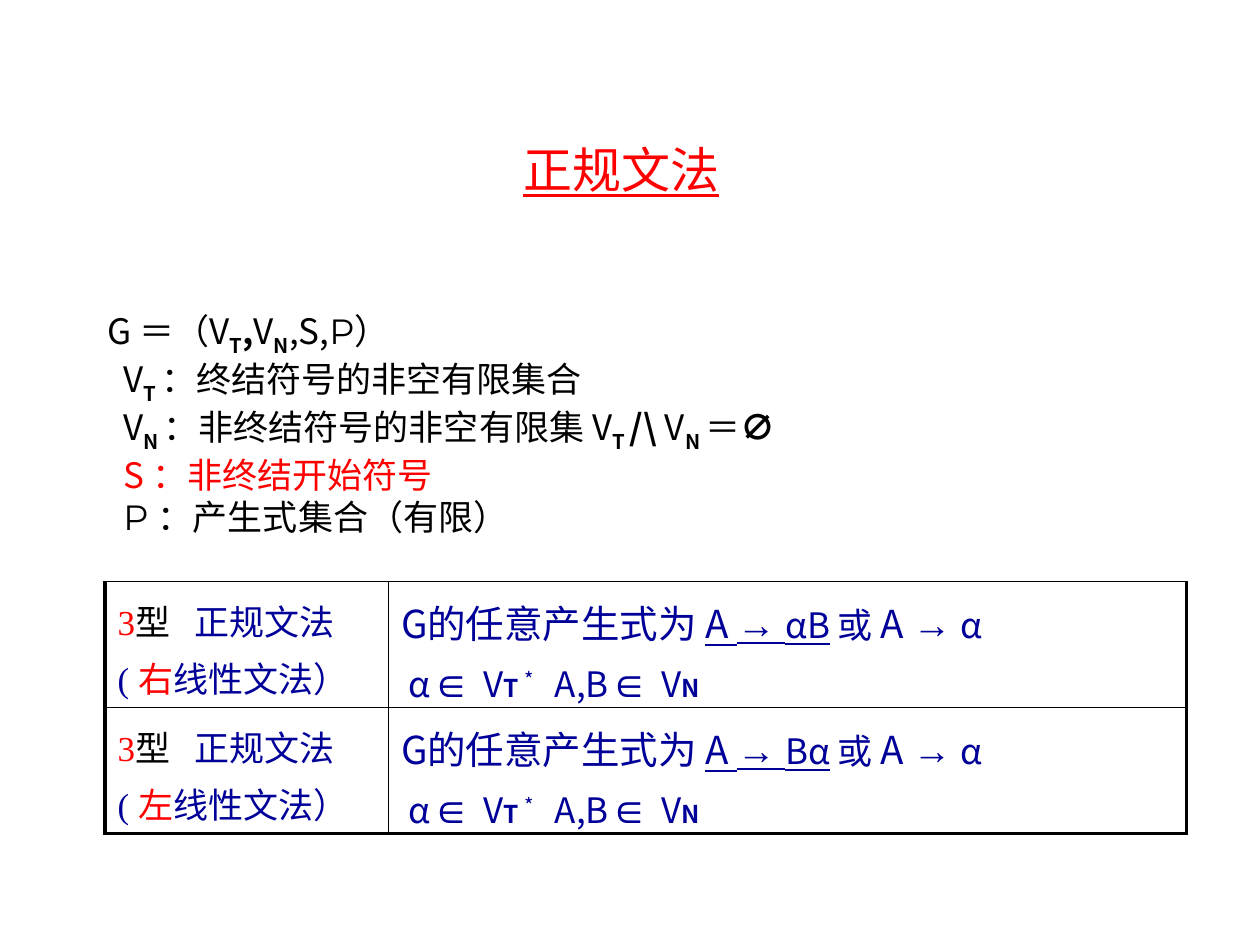
from pptx import Presentation
from pptx.dml.color import RGBColor
from pptx.enum.text import MSO_ANCHOR as Anchor, MSO_AUTO_SIZE as AutoSize, PP_ALIGN as Align
from pptx.oxml.ns import qn
from pptx.util import Inches, Pt
from lxml.etree import SubElement

COLORS = {"black": "000000", "red": "FF0000", "navy": "000099"}
SANS, SERIF, GEOMETRIC = "Noto Sans CJK SC", "Times New Roman", "Montserrat"
THIN, THICK = 1, 2.25
UNIT = 12  # grid columns and rows per inch


def grid(cells):
    return Inches(cells / UNIT)


class SlideBuilder:
    """Holds the deck, its current slide and the text style."""

    def __init__(self):
        self.deck = Presentation()
        self.deck.slide_width, self.deck.slide_height = Inches(10), Inches(7.5)
        self.page = self.deck.slides.add_slide(self.deck.slide_layouts[1])

    def place(self, shape, left, top, width, height):
        shape.left, shape.top = grid(left), grid(top)
        shape.width, shape.height = grid(width), grid(height)

    def add_spans(self, para, spans, size=20, font=SANS, color="black"):
        """Adds (text, overrides) spans to a paragraph."""
        for text, style in spans:
            span = para.add_run()
            span.text = text
            span.font.name = style.get("font", font)
            span.font.size = Pt(style.get("size", size))
            span.font.bold = style.get("bold", False)
            span.font.underline = style.get("underline", False)
            span.font.color.rgb = RGBColor.from_string(COLORS[style.get("color", color)])
            props = span.font._element
            if "baseline" in style:
                props.set("baseline", str(style["baseline"] * 1000))
            east_asian = SubElement(props, qn("a:ea"))
            east_asian.set("typeface", SANS)
            props.find(qn("a:latin")).addnext(east_asian)

    def title(self, spans, *area):
        box = self.page.shapes.title
        self.place(box, *area)
        frame = box.text_frame
        frame.vertical_anchor = Anchor.MIDDLE
        para = frame.paragraphs[0]
        para.alignment = Align.CENTER
        self.add_spans(para, spans, font=SERIF)

    def body(self, lines, *area):
        box = self.page.placeholders[1]
        self.place(box, *area)
        frame = box.text_frame
        frame.auto_size = AutoSize.SHAPE_TO_FIT_TEXT
        for index, spans in enumerate(lines):
            para = frame.paragraphs[0] if index == 0 else frame.add_paragraph()
            props = para._p.get_or_add_pPr()
            props.set("marL", str(Inches(0.13 if index else 0)))
            props.set("indent", "0")
            SubElement(props, qn("a:buNone"))
            para.space_before = Pt(0)
            self.add_spans(para, spans)

    def table(self, rows, left, top, widths, row_height):
        last_row, last_column = len(rows) - 1, len(widths) - 1
        frame = self.page.shapes.add_table(
            len(rows), len(widths), grid(left), grid(top),
            grid(sum(widths)), grid(row_height * len(rows)))
        table = frame.table
        table.first_row = table.horz_banding = False
        for column, width in zip(table.columns, widths):
            column.width = grid(width)
        for r, row in enumerate(rows):
            table.rows[r].height = grid(row_height)
            for c, lines in enumerate(row):
                cell = table.cell(r, c)
                self.borders(cell, {
                    "L": THIN if c else THICK,
                    "R": THICK if c == last_column else THIN,
                    "T": THIN,
                    "B": THICK if r == last_row else THIN})
                cell.fill.background()
                cell.margin_top = Inches(0.1)
                self.cell_text(cell, lines)

    def borders(self, cell, widths):
        props = cell._tc.get_or_add_tcPr()
        for side, width in widths.items():
            line = SubElement(props, qn(f"a:ln{side}"), w=str(Pt(width)))
            fill = SubElement(line, qn("a:solidFill"))
            SubElement(fill, qn("a:srgbClr"), val=COLORS["black"])

    def cell_text(self, cell, lines):
        for index, (tab, spans) in enumerate(lines):
            para = cell.text_frame.paragraphs[0]
            if index:
                para = cell.text_frame.add_paragraph()
                para.space_before = Pt(4)
            if tab:
                stops = SubElement(para._p.get_or_add_pPr(), qn("a:tabLst"))
                SubElement(stops, qn("a:tab"), pos=str(Inches(tab)), algn="l")
            self.add_spans(para, spans, color="navy")


PLAIN, BOLD = {}, {"bold": True}
RED, BLACK = {"color": "red"}, {"color": "black"}
SUBSCRIPT = {"bold": True, "baseline": -25}
LARGE, SMALL_BOLD = {"size": 22}, {"size": 14, "bold": True}
ARROW = {"size": 22, "font": SERIF, "bold": True}
MEMBER = {"size": 24, "font": SERIF, "bold": True}
LATIN = {"font": GEOMETRIC}
UNDERLINE = {"underline": True}

DEFINITIONS = [
    [("G ＝（V", PLAIN), ("T", SUBSCRIPT), (",", BOLD), ("V", PLAIN), ("N", SUBSCRIPT),
     (",S,", PLAIN), ("P", LATIN), ("）", PLAIN)],
    [("V", PLAIN), ("T ", SUBSCRIPT), ("：终结符号的非空有限集合", PLAIN)],
    [("V", PLAIN), ("N ", SUBSCRIPT), ("：非终结符号的非空有限集 V", PLAIN),
     ("T ", SUBSCRIPT), ("/\\ ", BOLD), ("V", PLAIN), ("N ", SUBSCRIPT), ("＝", PLAIN),
     ("∅", {"font": SERIF, "bold": True})],
    [("S ：非终结开始符号", RED)],
    [("P ", LATIN), ("：产生式集合（有限）", PLAIN)],
]


def grammar_row(side, product):
    """Table row for the grammar that is linear on the given side."""
    serif = {"font": SERIF}
    name = [
        (0.61, [("3", serif | RED), ("型\t", serif | BLACK), ("正规文法", serif)]),
        (None, [("( ", serif), (side, serif | RED), ("线性文法）", serif)]),
    ]
    rule = [
        (None, [("G的任意产生式为 ", LARGE), ("A ", LARGE | UNDERLINE),
                ("→ ", ARROW | UNDERLINE), (product, UNDERLINE), (" 或 ", PLAIN),
                ("A ", LARGE), ("→ ", ARROW), ("α", PLAIN)]),
        (1.22, [(" α", PLAIN), ("∈ ", MEMBER), ("V", PLAIN), ("T ", SMALL_BOLD),
                ("*\t", {"baseline": 30}), ("A,B", PLAIN), ("∈ ", MEMBER),
                ("V", PLAIN), ("N", SMALL_BOLD)]),
    ]
    return [name, rule]


def main():
    builder = SlideBuilder()
    builder.table([grammar_row("右", "αB"), grammar_row("左", "Bα")], 10, 55.4, [27, 76], 12)
    builder.body(DEFINITIONS, 9, 28.9, 102, 21.4)
    builder.title([("正规文法", {"size": 28} | RED | UNDERLINE), (" ", {"size": 44})],
                  9, 10, 102, 10)
    builder.deck.save("out.pptx")


if __name__ == "__main__":
    main()
